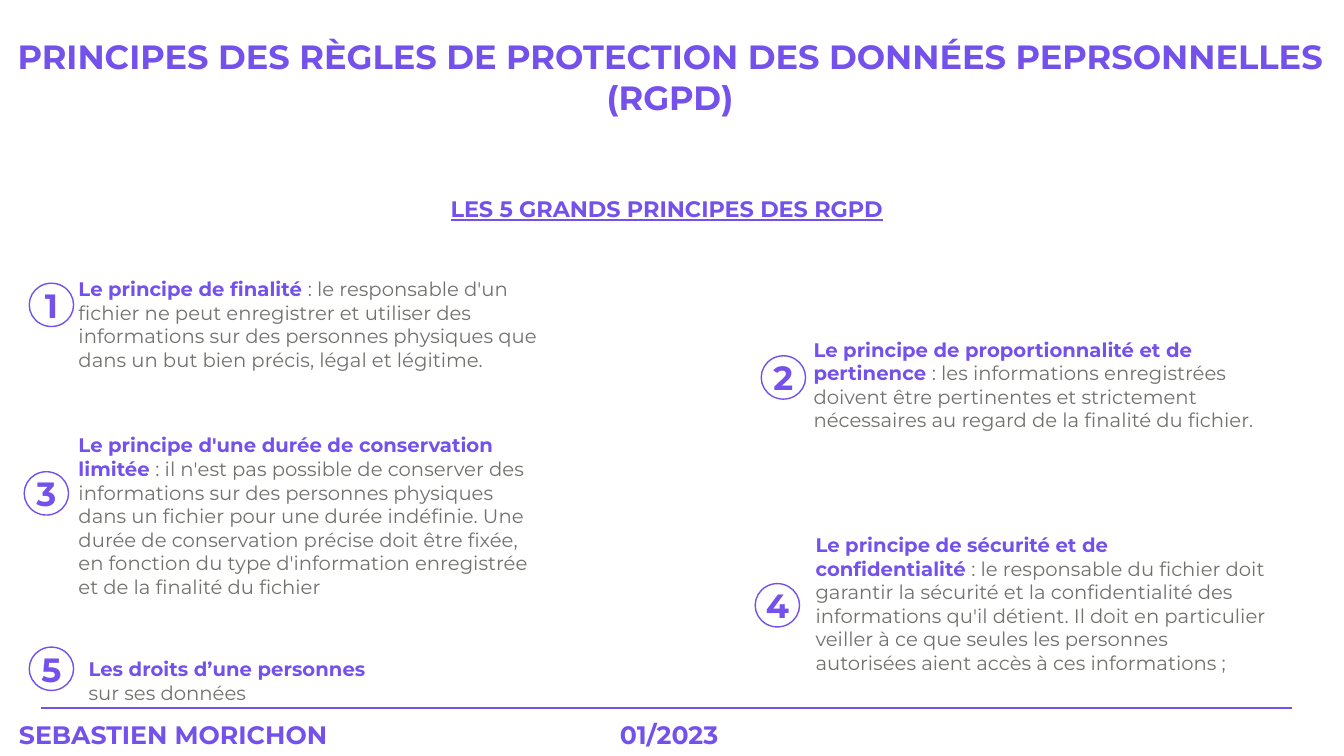
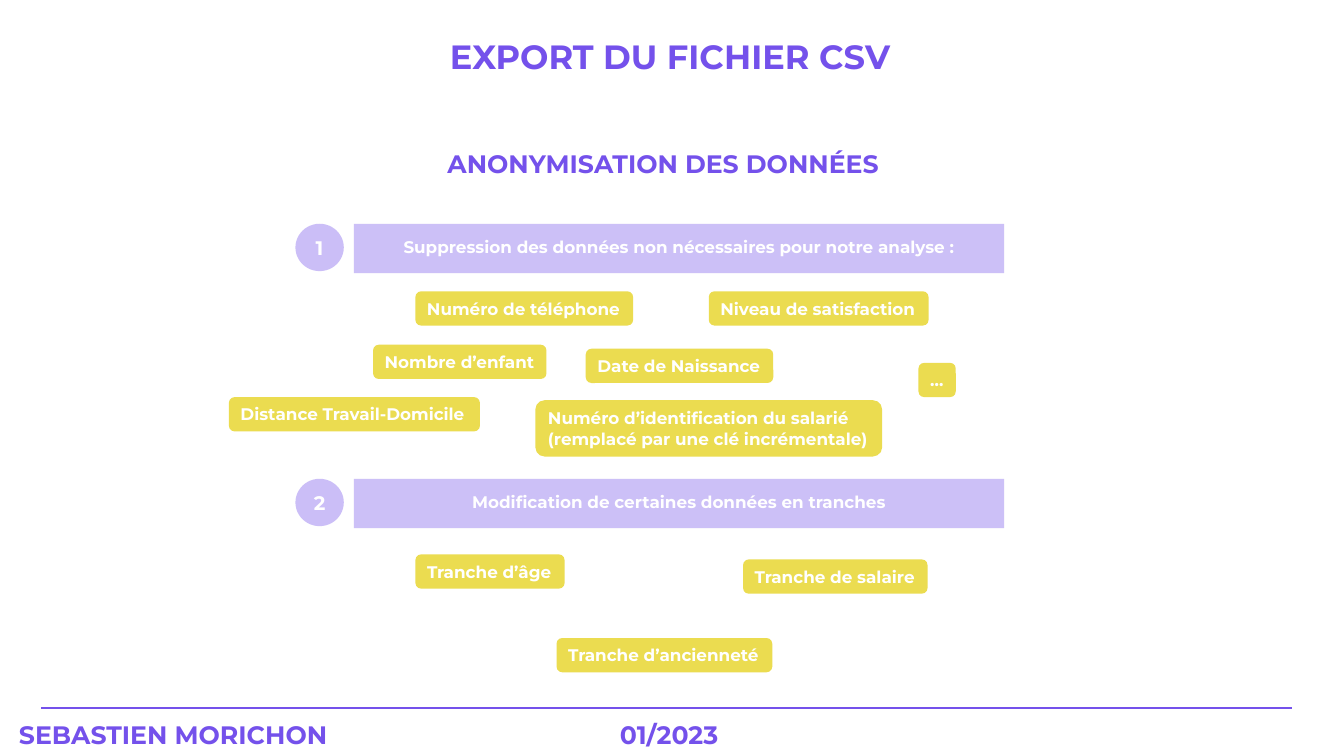
from lxml.etree import SubElement
from pptx import Presentation
from pptx.dml.color import RGBColor
from pptx.enum.shapes import MSO_CONNECTOR, MSO_SHAPE
from pptx.enum.text import MSO_ANCHOR, MSO_AUTO_SIZE, PP_ALIGN
from pptx.oxml.ns import qn
from pptx.util import Emu, Pt

SCALE = 9144  # EMU per px, 100 px to the inch
WIDTH, HEIGHT = 1333, 750
FONT = "Montserrat"
HARD = chr(160)  # no-break space
PURPLE = RGBColor(0x74, 0x51, 0xEB)
GREY = RGBColor(0x71, 0x71, 0x6E)
YELLOW = RGBColor(0xEB, 0xDC, 0x50)
WHITE = RGBColor(0xFF, 0xFF, 0xFF)

HEAD = {"size": 24, "bold": True, "color": PURPLE}
SUB = {**HEAD, "size": 18}
LINK = {**HEAD, "size": 16, "underline": True}
LEAD = {**HEAD, "size": 14}
BODY = {**LEAD, "bold": False, "color": GREY}
TAG = {"size": 12, "bold": True, "color": WHITE}
NUMBER = {**TAG, "size": 14}

# Circle corner, text box (left, top, width, height), lead, body
RULES = [
    ((29, 281), (68, 270, 489, 104), "Le principe de finalité",
     ": le responsable d'un fichier ne peut enregistrer et utiliser des "
     "informations sur des personnes physiques que dans un but bien précis, "
     "légal et légitime."),
    ((755, 353), (797, 330, 478, 104),
     "Le principe de proportionnalité et de pertinence",
     ": les informations enregistrées doivent être pertinentes et strictement "
     "nécessaires au regard de la finalité du fichier."),
    ((24, 468), (68, 425, 468, 175),
     "Le principe d'une durée de conservation limitée",
     ": il n'est pas possible de conserver des informations sur des personnes "
     "physiques dans un fichier pour une durée indéfinie. Une durée de "
     "conservation précise doit être fixée, en fonction du type d'information "
     "enregistrée et de la finalité du fichier"),
    ((749, 579), (799, 524, 468, 151),
     "Le principe de sécurité et de confidentialité",
     ": le responsable du fichier doit garantir la sécurité et la "
     "confidentialité des informations qu'il détient. Il doit en particulier "
     "veiller à ce que seules les personnes autorisées aient accès à ces "
     "informations ;"),
    ((29, 642), (78, 647, 306, 57), "Les droits d’une personnes",
     "sur ses données"),
]

# Section top, bar text, tags (left and top within the section, width, lines)
STEPS = [
    (222, "Suppression des données non nécessaires pour notre analyse :", [
        (119, 67, 216, ["Numéro de téléphone"]),
        (410, 67, 218, ["Niveau de satisfaction"]),
        (77, 120, 172, ["Nombre d’enfant"]),
        (288, 124, 186, ["Date de Naissance"]),
        (618, 138, 37, ["…"]),
        (-66, 172, 249, ["Distance Travail-Domicile"]),
        (238, 175, 344, ["Numéro d’identification du salarié",
                         "(remplacé par une clé incrémentale)"]),
    ]),
    (475, "Modification de certaines données en tranches", [
        (119, 75, 148, ["Tranche d’âge"]),
        (444, 80, 183, ["Tranche de salaire"]),
        (259, 158, 214, ["Tranche d’ancienneté"]),
    ]),
]


def px(*values):
    return [Emu(value * SCALE) for value in values]


def put(target, values):
    for name, value in values.items():
        setattr(target, name, value)


def write(frame, lines, align=PP_ALIGN.LEFT):
    """Fill a frame; each line is a list of (text, style) runs."""
    for index, runs in enumerate(lines):
        para = frame.paragraphs[0] if index == 0 else frame.add_paragraph()
        para.alignment = align
        for text, style in runs:
            run = para.add_run()
            run.text = text
            put(run.font, {"name": FONT, "size": Pt(style["size"]),
                           "bold": style["bold"],
                           "underline": style.get("underline")})
            run.font.color.rgb = style["color"]


def label(slide, box, lines, wrap=False, align=PP_ALIGN.LEFT):
    frame = slide.shapes.add_textbox(*px(*box)).text_frame
    put(frame, {"word_wrap": wrap,
                "auto_size": MSO_AUTO_SIZE.SHAPE_TO_FIT_TEXT})
    write(frame, lines, align)


def block(slide, kind, box, fill=None, alpha=None, edge=None):
    """Add a flat shape and return its text frame."""
    shape = slide.shapes.add_shape(kind, *px(*box))
    shape.shadow.inherit = False
    if fill is None:
        shape.fill.background()
    else:
        shape.fill.solid()
        shape.fill.fore_color.rgb = fill
    if alpha is not None:
        tint = shape._element.spPr.find(qn("a:solidFill"))[0]
        SubElement(tint, qn("a:alpha"), val=str(alpha * 1000))
    if edge is None:
        shape.line.fill.background()
    else:
        shape.line.color.rgb = edge
        shape.line.width = Pt(1)
    frame = shape.text_frame
    frame.vertical_anchor = MSO_ANCHOR.MIDDLE
    return frame


def badge(slide, box, text, style, **look):
    frame = block(slide, MSO_SHAPE.OVAL, box, **look)
    put(frame, dict.fromkeys(["margin_left", "margin_right", "margin_top",
                              "margin_bottom"], 0))
    frame.word_wrap = False
    write(frame, [[(text, style)]], PP_ALIGN.CENTER)


def footer(slide):
    for left, width, text in [(9, 360, "SEBASTIEN MORICHON"),
                              (605, 160, "01/2023")]:
        label(slide, (left, 709, width, 40), [[(text, SUB)]], wrap=True)
    rule = slide.shapes.add_connector(MSO_CONNECTOR.STRAIGHT,
                                      *px(41, 702, 1281, 702))
    rule.line.color.rgb = PURPLE
    rule.line.width = Pt(1.5)
    SubElement(rule._element.spPr, qn("a:effectLst"))


def start(deck, title):
    """Add a slide with the shared footer and a centred title."""
    slide = deck.slides.add_slide(deck.slide_layouts[6])
    footer(slide)
    label(slide, (0, 31, 1329, 10 + 41 * len(title)),
          [[(line, HEAD)] for line in title], align=PP_ALIGN.CENTER)
    return slide


def rule_item(slide, number, spot, box, lead, body):
    gap = HARD if body.startswith(":") else " "
    label(slide, box, [[(lead + gap, LEAD), (body, BODY)]], wrap=True)
    badge(slide, (*spot, 44, 43), str(number), HEAD, edge=PURPLE)


def tag(slide, left, top, width, lines):
    frame = block(slide, MSO_SHAPE.ROUNDED_RECTANGLE,
                  (left, top, width, 12 + 22 * len(lines)), fill=YELLOW)
    frame.word_wrap = False
    write(frame, [[(line, TAG)] for line in lines])


def step(slide, number, left, top, text, tags):
    """Draw a numbered bar and the tags below it."""
    badge(slide, (left, top, 48, 47), str(number), NUMBER,
          fill=PURPLE, alpha=37)
    bar = block(slide, MSO_SHAPE.RECTANGLE, (left + 58, top, 645, 49),
                fill=PURPLE, alpha=36)
    bar.margin_bottom = px(9)[0]
    write(bar, [[(text, TAG)]], PP_ALIGN.CENTER)
    for dx, dy, width, lines in tags:
        tag(slide, left + dx, top + dy, width, lines)


def rules_slide(deck):
    slide = start(deck, [
        "PRINCIPES DES RÈGLES DE PROTECTION DES DONNÉES PEPRSONNELLES",
        "(RGPD)"])
    label(slide, (437, 189, 455, 37),
          [[("LES 5 GRANDS PRINCIPES DES RGPD", LINK)]])
    for number, item in enumerate(RULES, 1):
        rule_item(slide, number, *item)


def export_slide(deck):
    slide = start(deck, ["EXPORT DU FICHIER CSV"])
    label(slide, (434, 142, 453, 40), [[("ANONYMISATION DES DONNÉES", SUB)]])
    for number, item in enumerate(STEPS, 1):
        step(slide, number, 293, *item)


def main():
    deck = Presentation()
    deck.slide_width, deck.slide_height = px(WIDTH, HEIGHT)
    rules_slide(deck)
    export_slide(deck)
    deck.save("out.pptx")


if __name__ == "__main__":
    main()
